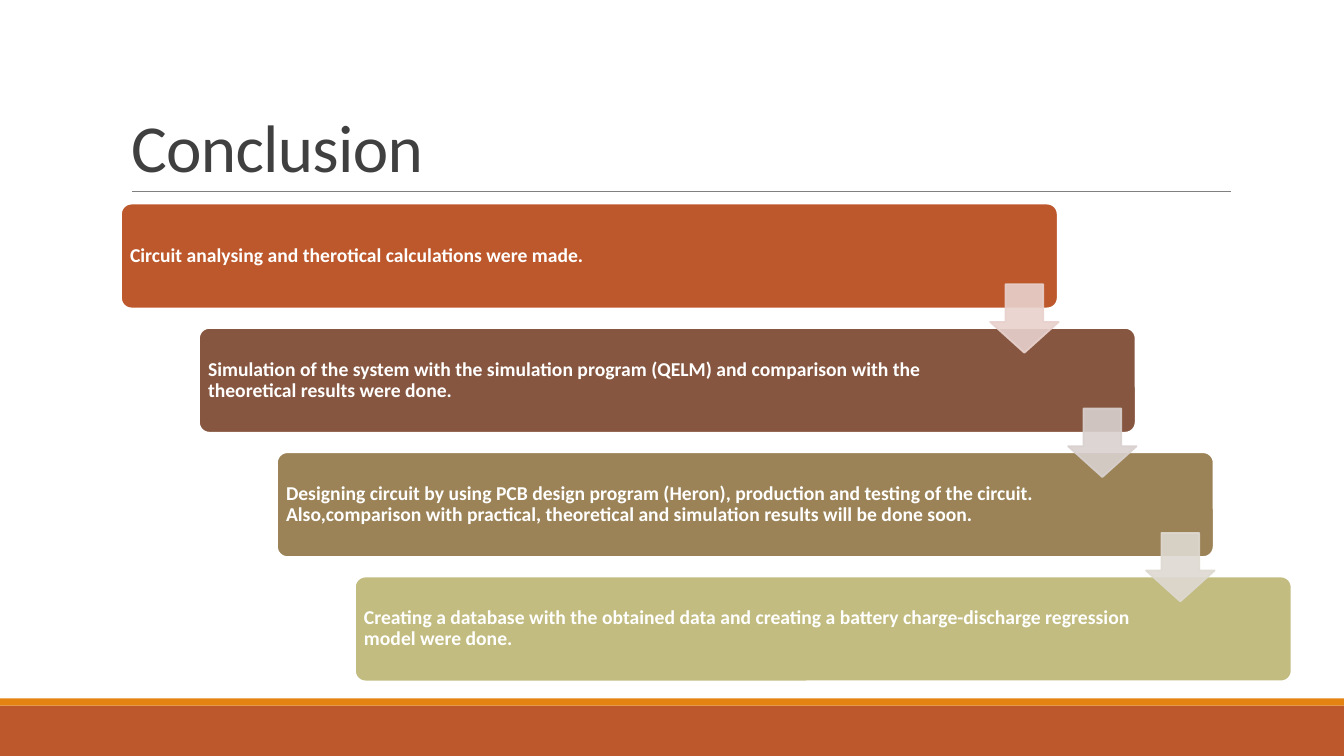
from lxml.etree import SubElement
from pptx import Presentation
from pptx.dml.color import RGBColor
from pptx.enum.shapes import MSO_CONNECTOR, MSO_SHAPE
from pptx.enum.text import MSO_ANCHOR, MSO_AUTO_SIZE, PP_ALIGN
from pptx.oxml.ns import qn
from pptx.util import Inches, Pt

WHITE = RGBColor(0xFF, 0xFF, 0xFF)
CHARCOAL = RGBColor(0x40, 0x40, 0x40)
GREY = RGBColor(0x80, 0x80, 0x80)
RUST = RGBColor(0xBD, 0x58, 0x2C)
ORANGE = RGBColor(0xE4, 0x83, 0x12)
BROWN = RGBColor(0x86, 0x56, 0x40)
OCHRE = RGBColor(0x9B, 0x83, 0x57)
OLIVE = RGBColor(0xC2, 0xBC, 0x80)
PALE_ROSE = RGBColor(0xE8, 0xD1, 0xCD)
PALE_GREY = RGBColor(0xD9, 0xD1, 0xCF)
PALE_SAND = RGBColor(0xDE, 0xD9, 0xD1)

# Step text, text width, card colour
STEPS = [
    ("Circuit analysing and therotical calculations were made.", 8.08, RUST),
    ("Simulation of the system with the simulation program (QELM) and "
     "comparison with the theoretical results were done.", 7.78, BROWN),
    ("Designing circuit by using PCB design program (Heron), production and "
     "testing of the circuit. Also,comparison with practical, theoretical and "
     "simulation results will be done soon.", 7.79, OCHRE),
    ("Creating a database with the obtained data and creating a battery "
     "charge-discharge regression model were done.", 7.78, OLIVE),
]
ARROW_COLORS = [PALE_ROSE, PALE_GREY, PALE_SAND]

# Staircase geometry, in inches
FIRST_LEFT, FIRST_TOP = 1.2, 2.02
LAST_LEFT, LAST_TOP = 3.52, 5.72
CARD_WIDTH, CARD_HEIGHT = 9.29, 1.04
TEXT_OFFSET, TEXT_HEIGHT = 0.03, 0.98
ARROW_DX, ARROW_DY, ARROW_SIZE = 8.62, 0.8, 0.68


class SlideBuilder:
    font_name = "Calibri"

    def __init__(self, page):
        self.page = page

    def shape(self, kind, left, top, width, height, fill, line=None, adjust=()):
        shape = self.page.shapes.add_shape(
            kind, Inches(left), Inches(top), Inches(width), Inches(height))
        shape.shadow.inherit = False
        shape.fill.solid()
        shape.fill.fore_color.rgb = fill
        if line is None:
            shape.line.fill.background()
        else:
            shape.line.color.rgb = line
            shape.line.width = Pt(1.25)
        for index, value in enumerate(adjust):
            shape.adjustments[index] = value
        return shape

    def arrow(self, left, top, color):
        arrow = self.shape(MSO_SHAPE.DOWN_ARROW, left, top, ARROW_SIZE,
                           ARROW_SIZE, color, color, (0.55, 0.45))
        # Fill and outline are both 90% opaque
        for paint in arrow._element.spPr.iter(qn("a:srgbClr")):
            SubElement(paint, qn("a:alpha"), val="90000")

    def rule(self, left, right, top):
        rule = self.page.shapes.add_connector(
            MSO_CONNECTOR.STRAIGHT, Inches(left), Inches(top),
            Inches(right), Inches(top))
        rule.line.color.rgb = GREY
        rule.line.width = Pt(0.5)
        SubElement(rule._element.spPr, qn("a:effectLst"))

    def format(self, para, size, color, spacing, bold=False):
        para.alignment = PP_ALIGN.LEFT
        para.line_spacing = spacing
        para.font.name = self.font_name
        para.font.size = Pt(size)
        para.font.bold = bold
        para.font.color.rgb = color

    def title(self, text, left, top, width, height):
        title = self.page.shapes.title
        title.left, title.top = Inches(left), Inches(top)
        title.width, title.height = Inches(width), Inches(height)
        frame = title.text_frame
        frame.text = text
        frame.auto_size = MSO_AUTO_SIZE.NONE
        frame.vertical_anchor = MSO_ANCHOR.BOTTOM
        para = frame.paragraphs[0]
        self.format(para, 48, CHARCOAL, 0.85)
        para.runs[0].font._element.set("spc", "-50")

    def text(self, text, left, top, width, height):
        box = self.page.shapes.add_textbox(
            Inches(left), Inches(top), Inches(width), Inches(height))
        frame = box.text_frame
        frame.word_wrap = True
        frame.vertical_anchor = MSO_ANCHOR.MIDDLE
        frame.margin_left = frame.margin_right = Inches(0.06)
        frame.margin_top = frame.margin_bottom = Inches(0.06)
        frame.text = text
        self.format(frame.paragraphs[0], 14, WHITE, 0.9, bold=True)


def step_origin(index):
    share = index / (len(STEPS) - 1)
    return (FIRST_LEFT + share * (LAST_LEFT - FIRST_LEFT),
            FIRST_TOP + share * (LAST_TOP - FIRST_TOP))


def main():
    deck = Presentation()
    deck.slide_width, deck.slide_height = Inches(13.33), Inches(7.5)
    builder = SlideBuilder(deck.slides.add_slide(deck.slide_layouts[5]))

    # Footer bands, title and rule
    builder.shape(MSO_SHAPE.RECTANGLE, 0, 7, 13.33, 0.5, RUST)
    builder.shape(MSO_SHAPE.RECTANGLE, 0, 6.93, 13.33, 0.07, ORANGE)
    builder.rule(1.31, 12.21, 1.9)
    builder.title("Conclusion", 1.2, 0.31, 11, 1.59)

    # Staircase of steps
    for index, (text, text_width, color) in enumerate(STEPS):
        left, top = step_origin(index)
        builder.shape(MSO_SHAPE.ROUNDED_RECTANGLE, left, top, CARD_WIDTH,
                      CARD_HEIGHT, color, WHITE, (0.1,))
        builder.text(text, left + TEXT_OFFSET, top + TEXT_OFFSET,
                     text_width, TEXT_HEIGHT)

    # Arrows from each step to the next
    for index, color in enumerate(ARROW_COLORS):
        left, top = step_origin(index)
        builder.arrow(left + ARROW_DX, top + ARROW_DY, color)

    deck.save("out.pptx")


if __name__ == "__main__":
    main()
